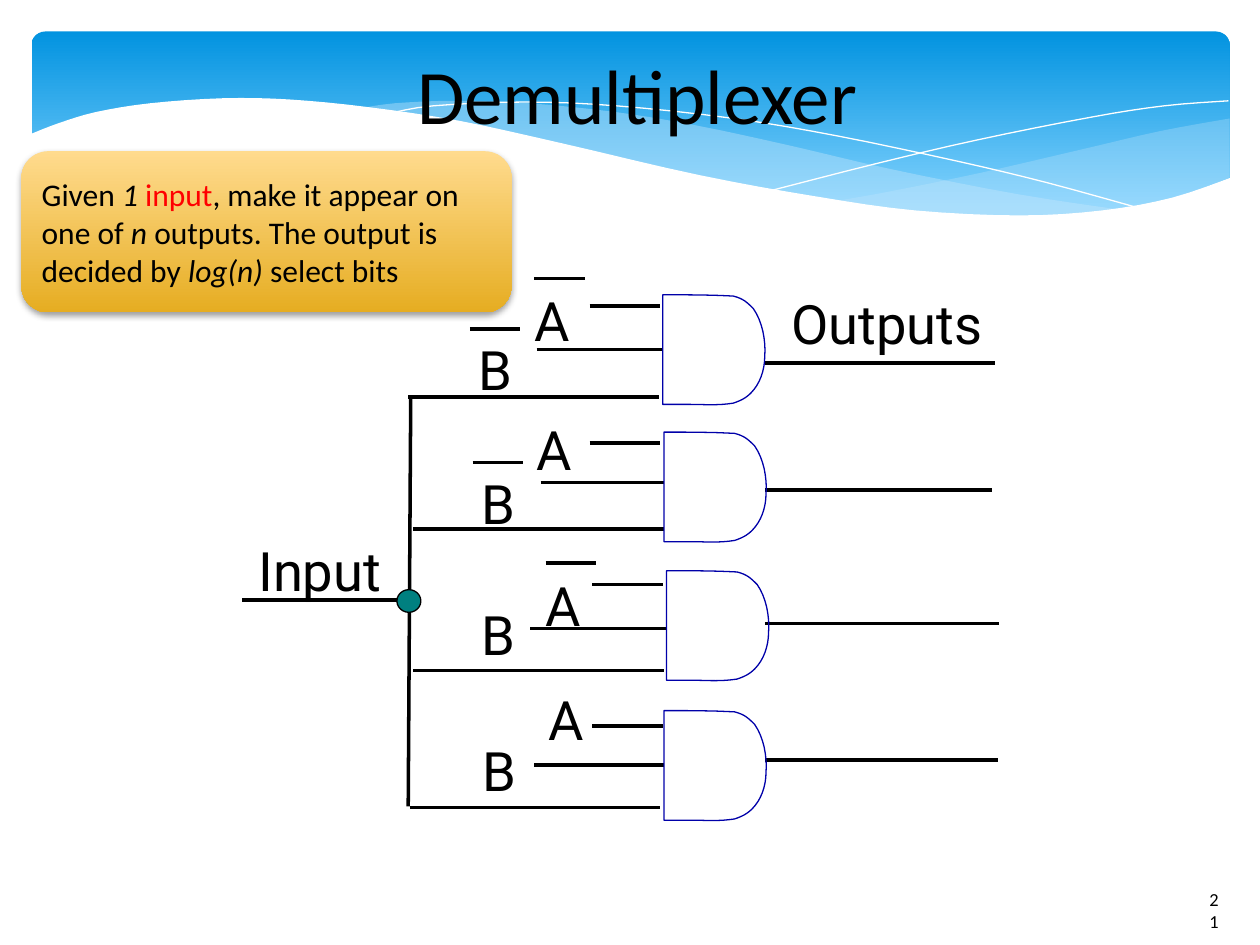
from lxml.etree import SubElement
from pptx import Presentation
from pptx.dml.color import RGBColor
from pptx.enum.shapes import MSO_CONNECTOR, MSO_SHAPE
from pptx.enum.text import MSO_ANCHOR, PP_ALIGN
from pptx.oxml.ns import qn
from pptx.util import Inches, Pt


class Theme:
    ink, white, red = "000000", "FFFFFF", "FF0000"
    sky = ((0, "0293E0"), (0.9, "83D3FE"))
    gold = ((0, "FFDB8E"), (1, "E6AD22"))
    haze, gate, node = "C6E7FC", "0000A9", "008080"
    body, label = "Calibri", "Roboto"
    title_pt, label_pt, note_pt, number_pt = 44, 31, 18, 10.5


# All positions are (column, row) on a grid of 100 columns by 75 rows.
COLS, ROWS = 100, 75
WIDTH, HEIGHT = Inches(10), Inches(7.5)

TITLE = "Demultiplexer"
NUMBER = "21"
NOTE = [("Given ", ""), ("1 ", "i"), ("input", "red"), (", make it appear on one of ", ""),
        ("n ", "i"), ("outputs. The output is decided by ", ""), ("log(n)", "i"),
        (" select bits", "")]

# Each wave: strokes (smooth through their points), fill, opacity in percent
WAVES = [
    ([[(97.6, 9.4), (92.1, 10.4), (86.1, 11.8), (77.9, 13.7), (70.6, 15.2), (66.1, 16)],
      [(66.1, 16), (73.2, 16.8), (80.3, 17.2), (87.2, 16.9), (92.8, 15.8), (97.6, 14.1)]],
     Theme.haze, 29),
    ([[(89.3, 16.7), (80.7, 15.4), (70.6, 13.4), (62.9, 11.6), (55.5, 10), (48.9, 8.9),
       (42, 8.2), (36.1, 8), (31.3, 8.2), (28.6, 8.6)],
      [(28.6, 8.6), (36.2, 9.7), (44.9, 11.6), (56.6, 14.3), (66.5, 16.1), (74.8, 17),
       (81.8, 17.3), (89.3, 16.7)]], Theme.haze, 40),
    ([[(30.9, 9), (34.4, 8.4), (41.6, 8.1), (48.9, 8.4), (58.2, 9.4), (66.5, 10.8),
       (76, 12.8), (83.1, 14.5), (90.7, 16.6)]], None, None),
    ([[(61.3, 15.1), (69.5, 13), (77.6, 11.1), (86.6, 9.3), (92.4, 8.4), (97.5, 8)]],
     None, None),
    ([[(97.7, 14.1), (93, 15.7), (87.5, 16.7), (80.9, 17.1), (72.6, 16.7), (64.8, 15.6),
       (55.5, 13.9), (44.7, 11.4), (36.5, 9.6), (29.2, 8.5), (23, 7.9), (17.7, 7.8),
       (11.9, 8.2), (7.6, 8.9), (4.6, 9.8), (2.3, 10.7)],
      [(2.3, 10.7), (2.3, 22.4)], [(2.3, 22.4), (97.7, 22.4)]], Theme.white, 100),
]

# Gate outline from its top-left corner: Bezier segments after the start point
GATE = [((1.9, 0), (3.7, 0), (5.6, 0.1)), ((6.4, 0.3), (6.7, 0.6), (7.2, 1.1)),
        ((7.9, 2.1), (8.2, 3.6), (8.1, 4.9)), ((8.1, 6), (7.7, 7.1), (7, 7.8)),
        ((6.6, 8.2), (6.2, 8.4), (5.6, 8.6)), ((4.4, 8.8), (3.3, 8.7), (2.2, 8.7)),
        ((1.5, 8.7), (0.7, 8.7), (0, 8.7))]

# gate corner; A and B labels (column, row, inverted); wires as (from, to, row)
ROWS_OF_GATES = [
    dict(gate=(52.6, 23.4), A=(42.4, 22.8, True), B=(38, 26.7, True),
         wires=[(46.8, 52.4, 24.3), (42.6, 52.6, 27.75), (32.4, 52.3, 31.5), (60.7, 79, 28.8)]),
    dict(gate=(52.7, 34.3), A=(42.6, 33, False), B=(38.2, 37.3, True),
         wires=[(46.8, 52.4, 35.15), (42.9, 52.7, 38.3), (32.8, 52.7, 42), (60.7, 78.7, 38.9)]),
    dict(gate=(52.9, 45.3), A=(43.3, 45.4, True), B=(38.2, 47.7, False),
         wires=[(47, 52.6, 46.4), (42.1, 52.9, 49.9), (32.8, 52.7, 53.2), (60.7, 79.3, 49.5)]),
    dict(gate=(52.7, 56.4), A=(43.5, 54.5, False), B=(38.3, 58.5, False),
         wires=[(47, 52.6, 57.6), (42.4, 52.7, 60.7), (32.5, 52.4, 64.1), (60.7, 79.2, 60.3)]),
]
BAR = {"A": (0, -0.7), "B": (-0.7, -0.6)}
BAR_LENGTH = 4
CAPTIONS = [("Outputs", 62.8, 23), ("Input", 20.5, 42.6)]
BUS = [(32.6, 31.4, 32.4, 64), (32.4, 47.6, 19.2, 47.6)]
NODE = (31.5, 46.8, 1.9, 1.8)


def X(col):
    return round(WIDTH * col / COLS)


def Y(row):
    return round(HEIGHT * row / ROWS)


def box(left, top, width, height):
    return X(left), Y(top), X(width), Y(height)


def rgb(color):
    return RGBColor.from_string(color)


def bezier(a, b, c, d, steps=8):
    for i in range(1, steps + 1):
        t = i / steps
        u = 1 - t
        yield tuple(u**3 * p + 3 * u * u * t * q + 3 * u * t * t * r + t**3 * s
                    for p, q, r, s in zip(a, b, c, d))


def smooth(points):
    """Catmull-Rom curve through the points, as a list of points."""
    ext = [points[0], *points, points[-1]]
    out = [points[0]]
    for a, b, c, d in zip(ext, ext[1:], ext[2:], ext[3:]):
        h1 = tuple(q + (r - p) / 6 for p, q, r in zip(a, b, c))
        h2 = tuple(r - (s - q) / 6 for q, r, s in zip(b, c, d))
        out += bezier(b, h1, h2, c, 4)
    return out


def outline(s, line):
    if line:
        s.line.color.rgb = rgb(line)
        s.line.width = 0
    else:
        s.line.fill.background()


def paint(s, fill=None, line=None, opacity=100):
    s.shadow.inherit = False
    if isinstance(fill, tuple):
        s.fill.gradient()
        s.fill.gradient_angle = 270
        for stop, (position, color) in zip(s.fill.gradient_stops, fill):
            stop.position, stop.color.rgb = position, rgb(color)
    elif fill:
        s.fill.solid()
        s.fill.fore_color.rgb = rgb(fill)
        if opacity < 100:
            color = s.fill._xPr.find(qn("a:solidFill"))[0]
            SubElement(color, qn("a:alpha"), val=str(opacity * 1000))
    else:
        s.fill.background()
    outline(s, line)
    return s


def freeform(shapes, points, close, **look):
    first, *rest = [(X(x), Y(y)) for x, y in points]
    fb = shapes.build_freeform(*first, scale=1.0)
    fb.add_line_segments(rest, close=close)
    return paint(fb.convert_to_shape(), **look)


def wire(shapes, x1, y1, x2, y2):
    c = shapes.add_connector(MSO_CONNECTOR.STRAIGHT, X(x1), Y(y1), X(x2), Y(y2))
    outline(c, Theme.ink)
    SubElement(c._element.spPr, qn("a:effectLst"))


def write(s, runs, size, font=Theme.body, align=PP_ALIGN.LEFT, anchor=MSO_ANCHOR.TOP):
    tf = s.text_frame
    tf.word_wrap, tf.vertical_anchor = True, anchor
    p = tf.paragraphs[0]
    p.alignment = align
    p.font.name, p.font.size, p.font.color.rgb = font, Pt(size), rgb(Theme.ink)
    for text, style in runs:
        r = p.add_run()
        r.text = text
        if style == "i":
            r.font.italic = True
        elif style == "red":
            r.font.color.rgb = rgb(Theme.red)
    return tf


def label(shapes, text, x, y):
    tf = write(shapes.add_textbox(*box(x, y, 4.9 if len(text) == 1 else 17.5, 5.9)),
               [(text, "")], Theme.label_pt, Theme.label)
    tf.margin_left = tf.margin_right = tf.margin_top = tf.margin_bottom = 0


def draw_banner(shapes):
    s = shapes.add_shape(MSO_SHAPE.ROUNDED_RECTANGLE, *box(2.5, 2.5, 95.1, 15.6))
    s.adjustments[0] = 0.07
    paint(s, Theme.sky)
    for strokes, fill, opacity in WAVES:
        points = [pt for stroke in strokes for pt in smooth(stroke)]
        freeform(shapes, points, bool(fill), fill=fill, opacity=opacity,
                 line=None if fill else Theme.white)
    write(shapes.add_textbox(*box(0.4, 3.3, 100.4, 8.4)), [(TITLE, "")],
          Theme.title_pt, align=PP_ALIGN.CENTER)


def draw_circuit(shapes):
    for row in ROWS_OF_GATES:
        for x1, x2, y in row["wires"]:
            wire(shapes, x1, y, x2, y)
        gx, gy = row["gate"]
        points = [(0, 0)]
        for segment in GATE:
            points += bezier(points[-1], *segment)
        freeform(shapes, [(gx + x, gy + y) for x, y in points], True, line=Theme.gate)
        for name, (dx, dy) in BAR.items():
            x, y, inverted = row[name]
            label(shapes, name, x, y)
            if inverted:
                wire(shapes, x + dx, y + dy, x + dx + BAR_LENGTH, y + dy)
    for line in BUS:
        wire(shapes, *line)
    for caption in CAPTIONS:
        label(shapes, *caption)
    paint(shapes.add_shape(MSO_SHAPE.OVAL, *box(*NODE)), Theme.node, Theme.ink)


def draw_notes(shapes):
    s = paint(shapes.add_shape(MSO_SHAPE.RECTANGLE, *box(95, 70, 2.8, 2.8)), Theme.white)
    write(s, [(NUMBER, "")], Theme.number_pt)
    s = shapes.add_shape(MSO_SHAPE.ROUNDED_RECTANGLE, *box(1.7, 12, 38.9, 12.8))
    write(paint(s, Theme.gold), NOTE, Theme.note_pt, anchor=MSO_ANCHOR.MIDDLE)
    shadow = SubElement(s._element.spPr.find(qn("a:effectLst")), qn("a:outerShdw"),
                        blurRad=str(Pt(4)), dist=str(Pt(2)), dir="5400000", rotWithShape="0")
    color = SubElement(shadow, qn("a:srgbClr"), val=Theme.ink)
    SubElement(color, qn("a:alpha"), val="38000")


def main():
    prs = Presentation()
    prs.slide_width, prs.slide_height = WIDTH, HEIGHT
    shapes = prs.slides.add_slide(prs.slide_layouts[6]).shapes
    draw_banner(shapes)
    draw_circuit(shapes)
    draw_notes(shapes)
    prs.save("out.pptx")


if __name__ == "__main__":
    main()
